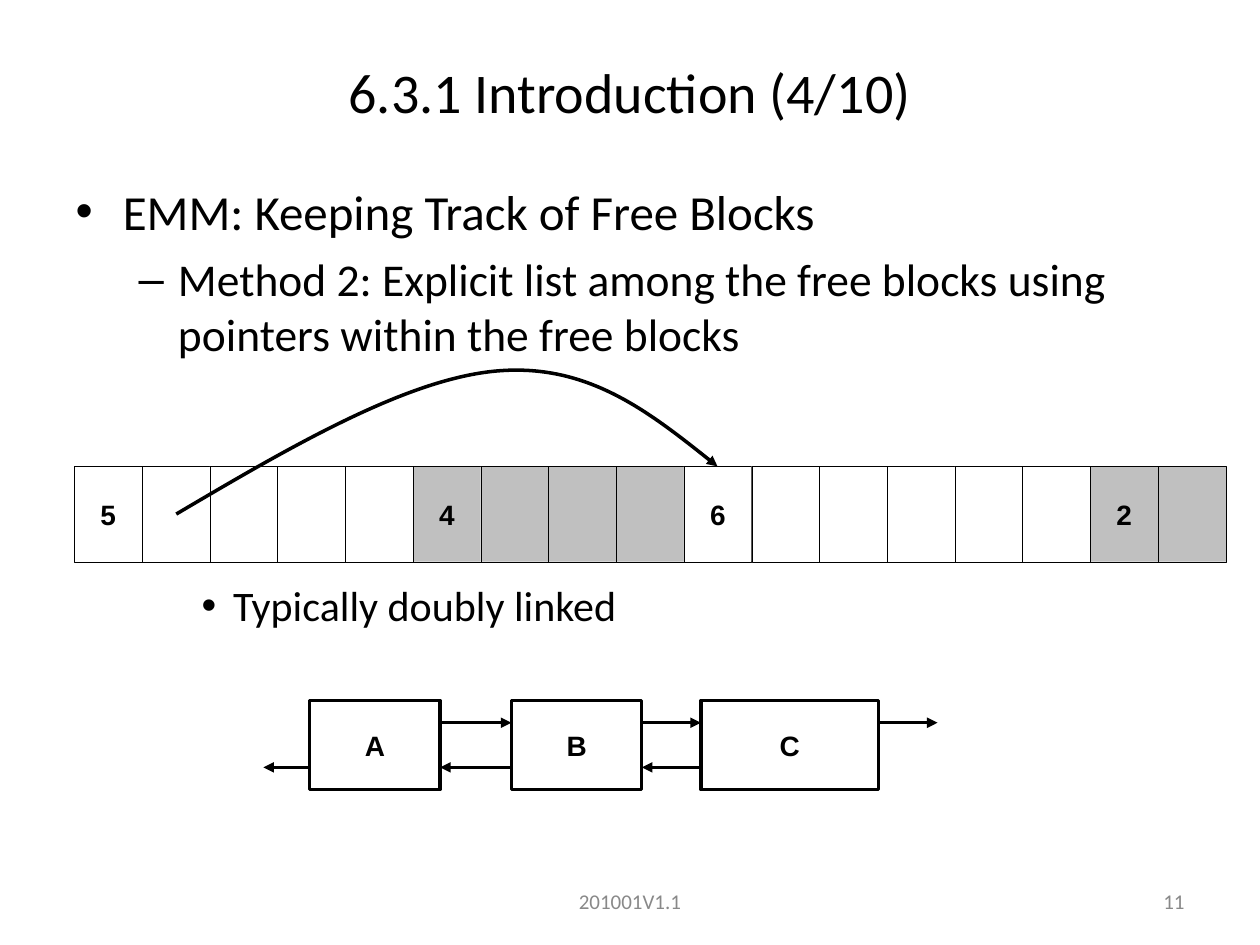
import dataclasses
import itertools

import lxml.etree
import pptx
import pptx.dml.color
import pptx.enum.shapes
import pptx.enum.text
import pptx.oxml.ns
import pptx.util

Pt = pptx.util.Pt
Align = pptx.enum.text.PP_ALIGN
Anchor = pptx.enum.text.MSO_ANCHOR
qualified = pptx.oxml.ns.qn


@dataclasses.dataclass(frozen=True)
class Theme:
    ink: str = "000000"
    free: str = "FFFFFF"
    used: str = "C0C0C0"
    muted: str = "898989"
    text_font: str = "Calibri"
    label_font: str = "Arial"
    title_size: float = 32
    level_sizes: tuple = (28, 26, 24)
    label_size: float = 16
    footer_size: float = 12
    thin: float = 0.25
    thick: float = 2


class SlideBuilder:
    def __init__(self, slide, theme):
        self.slide = slide
        self.theme = theme

    def place(self, shape, left, top, width, height):
        shape.left, shape.top = Pt(left), Pt(top)
        shape.width, shape.height = Pt(width), Pt(height)

    def style(self, paragraph, size, color, font, bold=False):
        paragraph.font.size = Pt(size)
        paragraph.font.name = font
        paragraph.font.bold = bold
        paragraph.font.color.rgb = pptx.dml.color.RGBColor.from_string(color)

    def outline(self, shape, width):
        shape.line.color.rgb = pptx.dml.color.RGBColor.from_string(self.theme.ink)
        shape.line.width = Pt(width)

    def add_arrowhead(self, shape):
        line = shape.element.spPr.find(qualified("a:ln"))
        lxml.etree.SubElement(line, qualified("a:tailEnd"), type="triangle")

    def title(self, text, *box):
        shape = self.slide.shapes.title
        self.place(shape, *box)
        shape.text_frame.text = text
        shape.text_frame.vertical_anchor = Anchor.MIDDLE
        paragraph = shape.text_frame.paragraphs[0]
        paragraph.alignment = Align.CENTER
        self.style(paragraph, self.theme.title_size, self.theme.ink, self.theme.text_font)

    def body(self, items, *box):
        shape = self.slide.placeholders[1]
        self.place(shape, *box)
        frame = shape.text_frame
        frame.auto_size = pptx.enum.text.MSO_AUTO_SIZE.NONE
        frame.text = "\n".join(text for _, _, text in items)
        for paragraph, (level, space, _) in zip(frame.paragraphs, items):
            paragraph.level = level
            paragraph.space_before = Pt(space)
            size = self.theme.level_sizes[level]
            self.style(paragraph, size, self.theme.ink, self.theme.text_font)

    def footer(self, text, alignment, left, top, width, height):
        shape = self.slide.shapes.add_textbox(Pt(left), Pt(top), Pt(width), Pt(height))
        frame = shape.text_frame
        frame.word_wrap = True
        frame.vertical_anchor = Anchor.MIDDLE
        frame.text = text
        frame.paragraphs[0].alignment = alignment
        self.style(frame.paragraphs[0], self.theme.footer_size, self.theme.muted,
                   self.theme.text_font)

    def box(self, text, fill, line_width, left, top, width, height):
        shape = self.slide.shapes.add_shape(
            pptx.enum.shapes.MSO_SHAPE.RECTANGLE, Pt(left), Pt(top), Pt(width), Pt(height))
        shape.shadow.inherit = False
        shape.fill.solid()
        shape.fill.fore_color.rgb = pptx.dml.color.RGBColor.from_string(fill)
        self.outline(shape, line_width)
        if text:
            frame = shape.text_frame
            frame.word_wrap = False
            frame.vertical_anchor = Anchor.MIDDLE
            frame.text = text
            frame.paragraphs[0].alignment = Align.CENTER
            self.style(frame.paragraphs[0], self.theme.label_size, self.theme.ink,
                       self.theme.label_font, bold=True)

    def arrow(self, start, end, y):
        connector = self.slide.shapes.add_connector(
            pptx.enum.shapes.MSO_CONNECTOR.STRAIGHT, Pt(start), Pt(y), Pt(end), Pt(y))
        self.outline(connector, self.theme.thick)
        self.add_arrowhead(connector)
        lxml.etree.SubElement(connector.element.spPr, qualified("a:effectLst"))

    def curved_arrow(self, start, controls):
        builder = self.slide.shapes.build_freeform(Pt(start[0]), Pt(start[1]))
        builder.add_line_segments([(Pt(x), Pt(y)) for x, y in controls], close=False)
        shape = builder.convert_to_shape()
        shape.shadow.inherit = False
        shape.fill.background()
        self.outline(shape, self.theme.thick)
        self.add_arrowhead(shape)
        segments = list(shape.element.iter(qualified("a:lnTo")))
        for first, second, third in zip(*[iter(segments)] * 3):
            first.tag = qualified("a:cubicBezTo")
            for segment in (second, third):
                first.append(segment[0])
                segment.getparent().remove(segment)

    def memory_row(self, blocks, left, top, width, height):
        cell_width = width / sum(size for size, _ in blocks)
        cells = [(str(size) if index == 0 else "", fill)
                 for size, fill in blocks for index in range(size)]
        for column, (label, fill) in enumerate(cells):
            self.box(label, fill, self.theme.thin,
                     left + column * cell_width, top, cell_width, height)

    def linked_list(self, nodes, top, height, list_start, list_end):
        edges = [list_start]
        for label, left, width in nodes:
            self.box(label, self.theme.free, self.theme.thick, left, top, width, height)
            edges += [left, left + width]
        edges.append(list_end)
        gaps = list(zip(edges[::2], edges[1::2]))
        for left, right in itertools.islice(gaps, 1, None):
            self.arrow(left, right, top + height / 4)
        for left, right in gaps[:-1]:
            self.arrow(right, left, top + height * 3 / 4)


def main():
    presentation = pptx.Presentation()
    presentation.slide_width, presentation.slide_height = Pt(720), Pt(540)
    theme = Theme()
    slide = presentation.slides.add_slide(presentation.slide_layouts[1])
    builder = SlideBuilder(slide, theme)

    builder.footer("201001V1.1", Align.CENTER, 246, 500.5, 228, 28.75)
    builder.footer("11", Align.RIGHT, 516, 500.5, 168, 28.75)
    builder.title("6.3.1 Introduction (4/10)", 0, 21.5, 720, 61)
    builder.body([
        (0, 7, "EMM: Keeping Track of Free Blocks"),
        (1, 6.5, "Method 2: Explicit list among the free blocks using "
                 "pointers within the free blocks"),
        (2, 125, "Typically doubly linked"),
    ], 36, 100, 648, 382.5)

    builder.memory_row([(5, theme.free), (4, theme.used), (6, theme.free), (2, theme.used)],
                       42.5, 266.5, 658, 54.5)
    builder.curved_arrow((100.75, 293.75), [
        (166.5, 255), (232.5, 216.5), (284, 212),
        (335.5, 207.5), (373, 237), (410, 266.5)])
    builder.linked_list([("A", 177, 74.5), ("B", 292.25, 74.5), ("C", 400.5, 101.5)],
                        400.25, 51, 150.5, 535.75)
    presentation.save("out.pptx")


if __name__ == "__main__":
    main()
